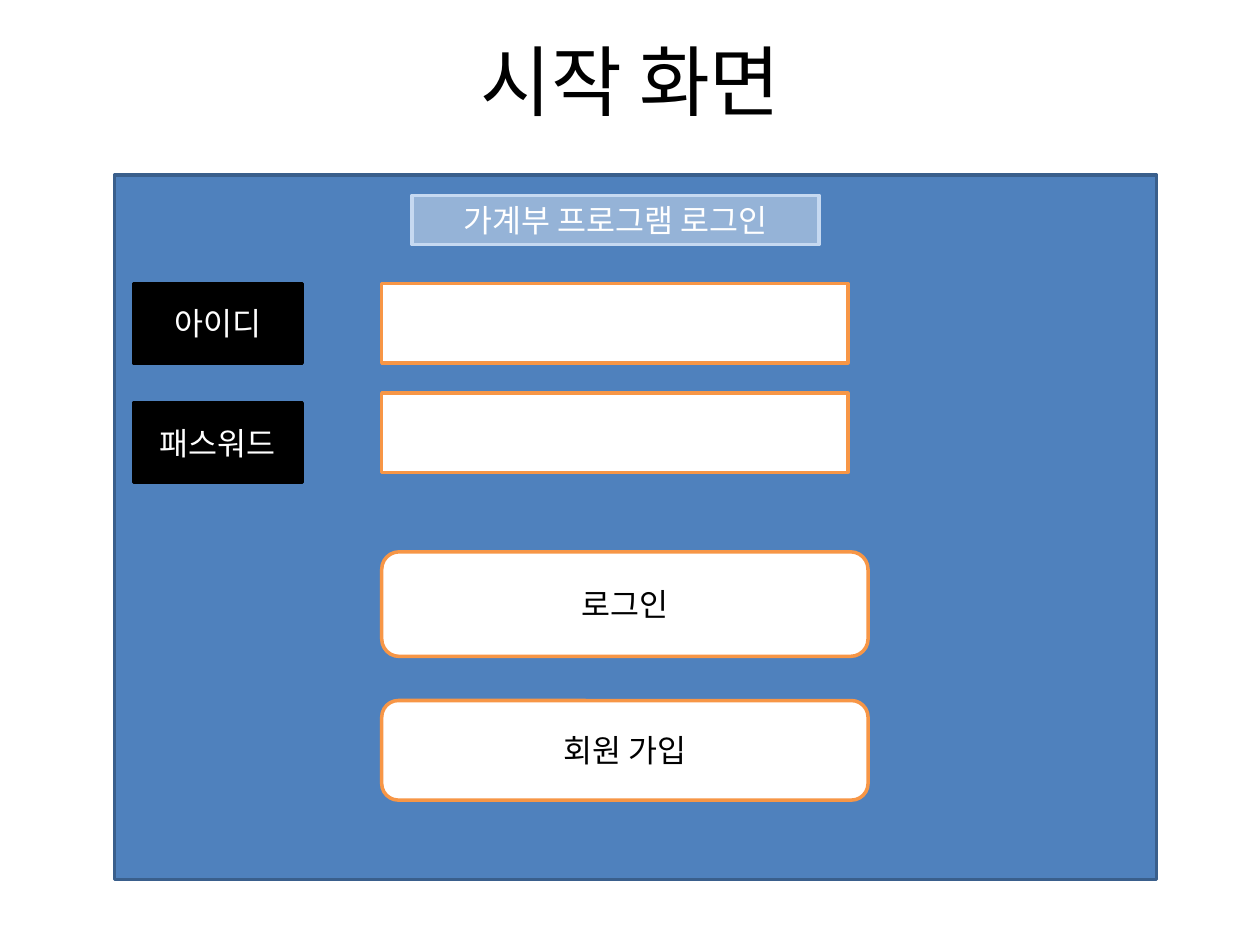
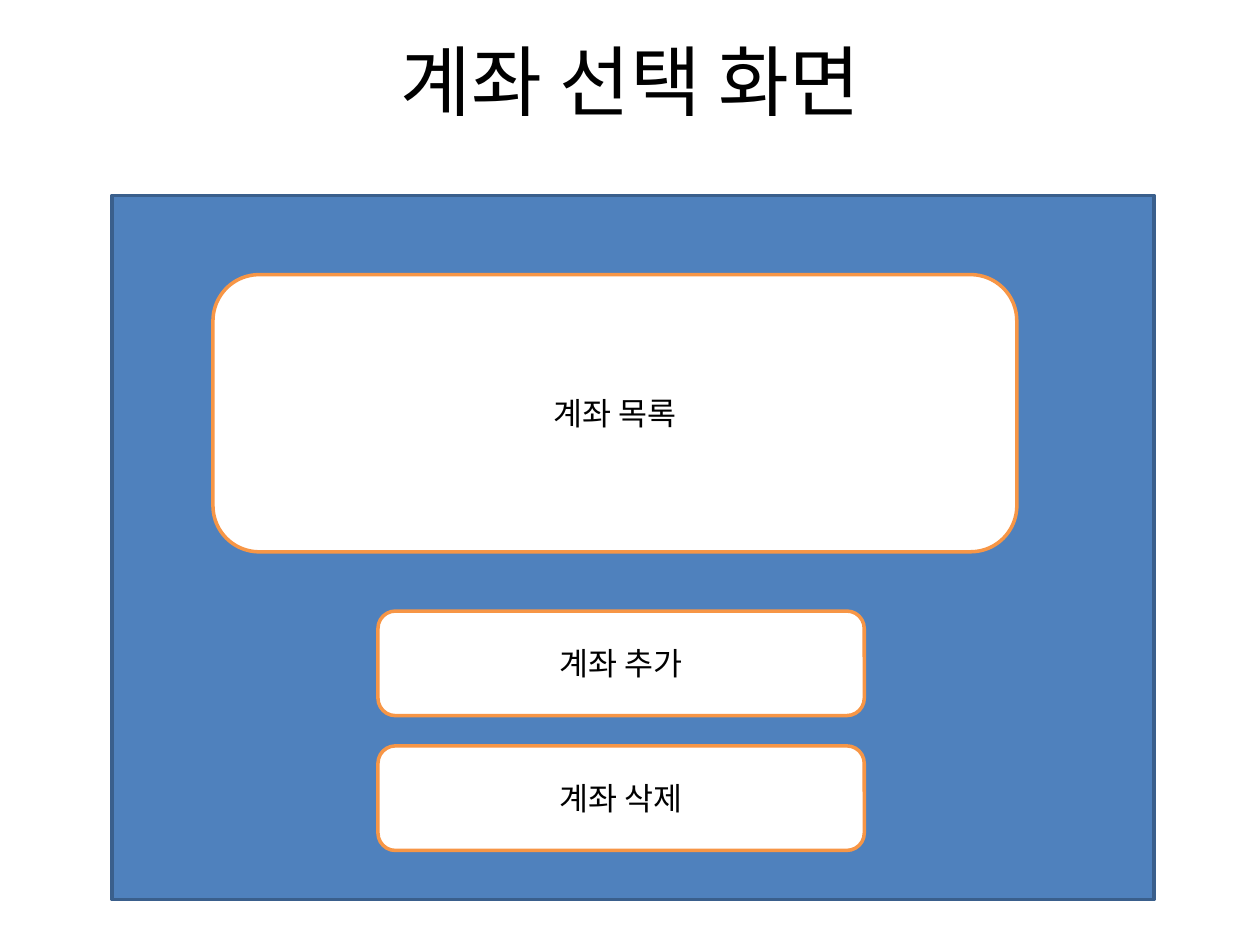
from lxml import etree
from pptx import Presentation
from pptx.dml.color import RGBColor
from pptx.enum.shapes import MSO_SHAPE
from pptx.enum.text import MSO_ANCHOR, MSO_AUTO_SIZE, PP_ALIGN
from pptx.oxml.ns import qn
from pptx.util import Inches, Pt

# Shared look
BLUE = RGBColor(0x4F, 0x81, 0xBD)
DARK_BLUE = RGBColor(0x3A, 0x5F, 0x8C)
MID_BLUE = RGBColor(0x95, 0xB3, 0xD7)
PALE_BLUE = RGBColor(0xC6, 0xD9, 0xF1)
ORANGE = RGBColor(0xF7, 0x96, 0x46)
BLACK = RGBColor(0, 0, 0)
WHITE = RGBColor(0xFF, 0xFF, 0xFF)
FONT = "Noto Sans CJK KR"
RECT = MSO_SHAPE.RECTANGLE
ROUNDED = MSO_SHAPE.ROUNDED_RECTANGLE
MIDDLE = MSO_ANCHOR.MIDDLE
CENTER = PP_ALIGN.CENTER
NO_AUTOFIT = MSO_AUTO_SIZE.NONE

# Style of each control: outline shape, fill, line, text colour
WINDOW = (RECT, BLUE, DARK_BLUE, WHITE)
BANNER = (RECT, MID_BLUE, PALE_BLUE, WHITE)
LABEL = (RECT, BLACK, BLACK, WHITE)
FIELD = (RECT, WHITE, ORANGE, BLACK)
BUTTON = (ROUNDED, WHITE, ORANGE, BLACK)

# Each screen: title, then controls from back to front
SCREENS = [
    ("시작 화면", [
        (WINDOW, 0.91, 1.39, 8.27, 5.59, ""),
        (BUTTON, 3.03, 4.38, 3.86, 0.83, "로그인"),
        (BUTTON, 3.03, 5.56, 3.86, 0.79, "회원 가입"),
        (FIELD, 3.03, 2.25, 3.7, 0.63, ""),
        (FIELD, 3.03, 3.12, 3.7, 0.63, ""),
        (LABEL, 1.06, 2.25, 1.34, 0.63, "아이디"),
        (LABEL, 1.06, 3.2, 1.34, 0.63, "패스워드"),
        (BANNER, 3.27, 1.55, 3.23, 0.39, "가계부 프로그램 로그인"),
    ]),
    ("계좌 선택 화면", [
        (WINDOW, 0.89, 1.55, 8.27, 5.59, ""),
        (BUTTON, 1.69, 2.18, 6.38, 2.2, "계좌 목록"),
        (BUTTON, 3, 4.85, 3.86, 0.83, "계좌 추가"),
        (BUTTON, 3, 5.92, 3.86, 0.83, "계좌 삭제"),
    ]),
]


def write(frame, text, size, color):
    """Put one centred run in a text frame, Korean font included."""
    frame.vertical_anchor = MIDDLE
    frame.word_wrap = True
    paragraph = frame.paragraphs[0]
    paragraph.alignment = CENTER
    run = paragraph.add_run()
    run.text = text
    run.font.size = Pt(size)
    run.font.name = FONT
    run.font.color.rgb = color
    east_asian = etree.SubElement(run.font._element, qn("a:ea"))
    east_asian.set("typeface", FONT)


prs = Presentation()
prs.slide_width = Inches(10)
prs.slide_height = Inches(7.5)
title_only = prs.slide_layouts[5]

for heading, controls in SCREENS:
    slide = prs.slides.add_slide(title_only)

    # Title
    title = slide.shapes.title
    title.left, title.top = Inches(2.72), Inches(0.21)
    title.width, title.height = Inches(4.57), Inches(0.84)
    title.text_frame.auto_size = NO_AUTOFIT
    write(title.text_frame, heading, 44, BLACK)

    # Window and its controls
    for style, left, top, width, height, caption in controls:
        outline, fill, line, text_color = style
        control = slide.shapes.add_shape(
            outline, Inches(left), Inches(top), Inches(width), Inches(height))
        control.shadow.inherit = False
        control.fill.solid()
        control.fill.fore_color.rgb = fill
        control.line.color.rgb = line
        control.line.width = Pt(2)
        if caption:
            write(control.text_frame, caption, 18, text_color)

prs.save("out.pptx")
